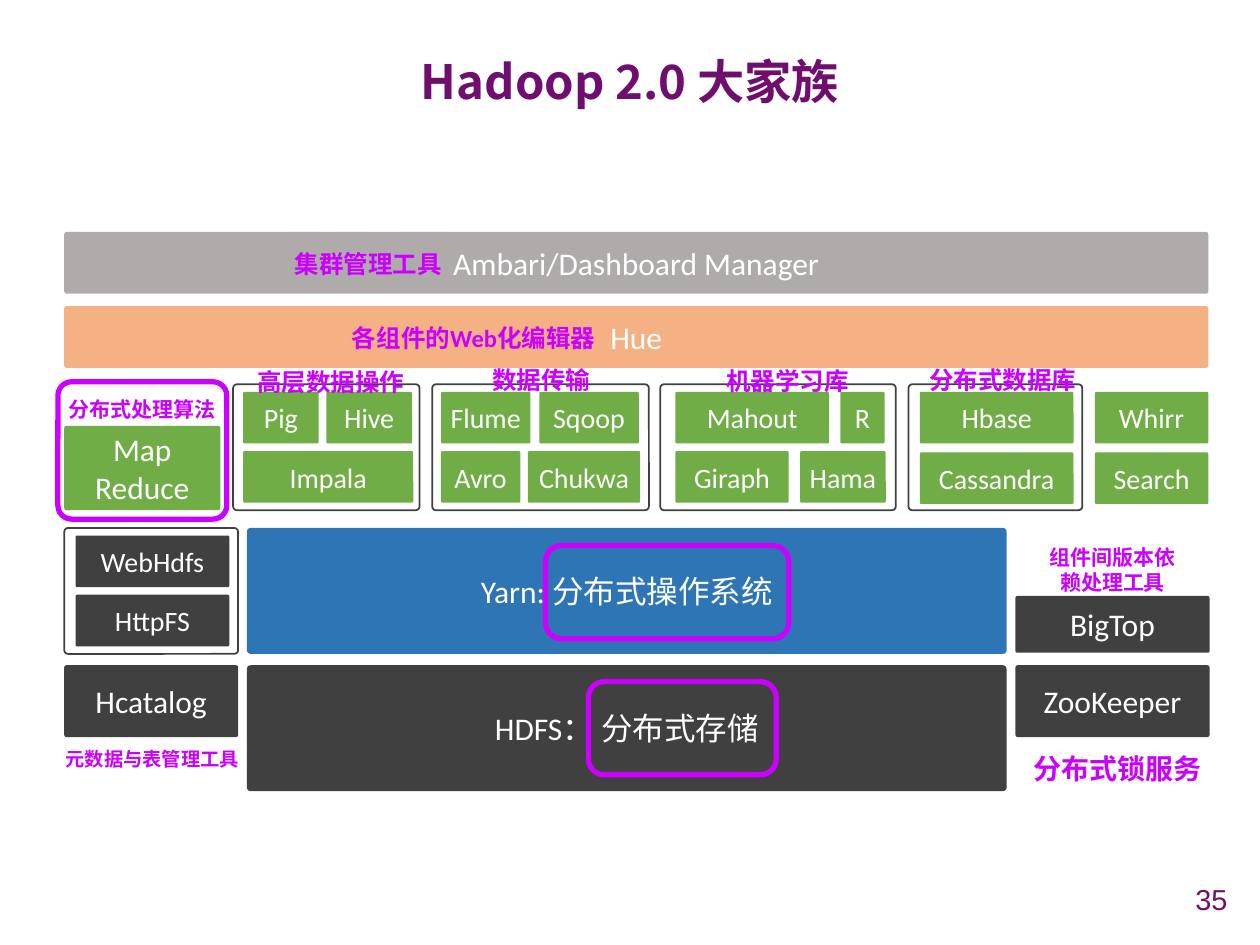
from pptx import Presentation
from pptx.dml.color import RGBColor
from pptx.enum.shapes import MSO_SHAPE
from pptx.enum.text import MSO_ANCHOR, PP_ALIGN
from pptx.util import Inches, Pt

PLUM = RGBColor(0x6F, 0x0E, 0x6F)
PINK = RGBColor(0xCC, 0x00, 0xFF)
WHITE = RGBColor(0xFF, 0xFF, 0xFF)
GREY = RGBColor(0xAF, 0xAB, 0xAB)
PEACH = RGBColor(0xF4, 0xB1, 0x83)
GREEN = RGBColor(0x70, 0xAD, 0x47)
BLUE = RGBColor(0x2E, 0x75, 0xB6)
DARK = RGBColor(0x40, 0x40, 0x40)

TITLE = "Hadoop 2.0 大家族"
PAGE = "35"

# text, left, top, width, height, fill, corner
BLOCKS = [
    ("Ambari/Dashboard Manager", 0.51, 1.84, 9.08, 0.49, GREY, 0.04),
    ("Hue", 0.51, 2.43, 9.08, 0.49, PEACH, 0.04),
    ("Map\nReduce", 0.51, 3.38, 1.24, 0.67, GREEN, 0.03),
    ("Yarn: 分布式操作系统", 1.96, 4.19, 6.03, 1, BLUE, 0.03),
    ("HDFS： 分布式存储", 1.96, 5.28, 6.03, 1, DARK, 0.03),
    ("BigTop", 8.06, 4.73, 1.54, 0.45, DARK, 0.03),
    ("ZooKeeper", 8.06, 5.28, 1.54, 0.57, DARK, 0.03),
    ("Hcatalog", 0.51, 5.28, 1.38, 0.57, DARK, 0.03),
]

# left, top, width of each group frame
FRAMES = [(1.85, 3.05, 1.48), (3.43, 3.05, 1.72), (5.24, 3.05, 1.87),
          (7.21, 3.05, 1.38), (0.51, 4.19, 1.38)]
FRAME_H = 1

# top, fill, tiles as (text, left, width)
TILE_ROWS = [
    (3.11, GREEN, [("Pig", 1.93, 0.6), ("Hive", 2.59, 0.68),
                   ("Flume", 3.5, 0.71), ("Sqoop", 4.28, 0.79),
                   ("Mahout", 5.36, 1.22), ("R", 6.67, 0.35),
                   ("Hbase", 7.3, 1.22), ("Whirr", 8.69, 0.9)]),
    (3.58, GREEN, [("Impala", 1.93, 1.35), ("Avro", 3.5, 0.63),
                   ("Chukwa", 4.19, 0.89), ("Giraph", 5.36, 0.9),
                   ("Hama", 6.35, 0.68)]),
    (3.59, GREEN, [("Cassandra", 7.3, 1.22), ("Search", 8.69, 0.9)]),
    (4.25, DARK, [("WebHdfs", 0.6, 1.22)]),
    (4.72, DARK, [("HttpFS", 0.6, 1.22)]),
]
TILE_H = 0.41

# left, top, width, height, corner
RINGS = [(4.67, 5.41, 1.49, 0.74, 0.17), (4.33, 4.33, 1.93, 0.74, 0.17),
         (0.46, 3.03, 1.34, 1.09, 0.1)]

# text, left, top, width, height, size
NOTES = [
    ("分布式处理算法", 0.4, 3.1, 1.46, 0.3, 12),
    ("分布式锁服务", 8.09, 5.91, 1.56, 0.37, 16),
    ("分布式数据库", 7.27, 2.84, 1.38, 0.34, 14),
    ("高层数据操作", 1.93, 2.86, 1.39, 0.34, 14),
    ("数据传输", 3.8, 2.84, 0.99, 0.34, 14),
    ("机器学习库", 5.66, 2.85, 1.18, 0.34, 14),
    ("元数据与表管理工具", 0.35, 5.88, 1.72, 0.29, 11),
    ("各组件的Web化编辑器", 2.36, 2.51, 2.8, 0.34, 14),
    ("集群管理工具", 2.16, 1.92, 1.53, 0.34, 14),
    ("组件间版本依赖处理工具", 8.22, 4.27, 1.22, 0.5, 12),
]


def write(shape, text, size, color, bold=False, font="Calibri",
          align=PP_ALIGN.CENTER, wrap=True, inset=0.1):
    frame = shape.text_frame
    frame.text = text
    frame.word_wrap = wrap
    frame.vertical_anchor = MSO_ANCHOR.MIDDLE
    frame.margin_left = frame.margin_right = Inches(inset)
    frame.margin_top = frame.margin_bottom = 0
    for para in frame.paragraphs:
        para.alignment = align
        for run in para.runs:
            run.font.size = Pt(size)
            run.font.name = font
            run.font.bold = bold
            run.font.color.rgb = color


def add_box(slide, area, corner, fill=None, line=None, weight=1):
    box = slide.shapes.add_shape(MSO_SHAPE.ROUNDED_RECTANGLE,
                                 *map(Inches, area))
    box.adjustments[0] = corner
    box.shadow.inherit = False
    if fill is None:
        box.fill.background()
    else:
        box.fill.solid()
        box.fill.fore_color.rgb = fill
    if line is None:
        box.line.fill.background()
    else:
        box.line.color.rgb = line
        box.line.width = Pt(weight)
    return box


def main():
    deck = Presentation()
    deck.slide_width, deck.slide_height = Inches(10), Inches(7.5)
    slide = deck.slides.add_slide(deck.slide_layouts[5])

    title = slide.shapes.title
    title.left, title.top = Inches(0.46), Inches(0.31)
    title.width, title.height = Inches(9.08), Inches(0.71)
    write(title, TITLE, 27, PLUM, True, "Noto Sans CJK SC")
    title.text_frame.paragraphs[0].line_spacing = 0.9

    page = slide.shapes.add_textbox(*map(Inches, (9.14, 6.98, 0.7, 0.31)))
    write(page, PAGE, 16.5, PLUM, font="Arial", align=PP_ALIGN.RIGHT)

    for text, *area, fill, corner in BLOCKS:
        write(add_box(slide, area, corner, fill), text, 18, WHITE)
    for left, top, width in FRAMES:
        add_box(slide, (left, top, width, FRAME_H), 0.03, line=DARK)
    for top, fill, tiles in TILE_ROWS:
        for text, left, width in tiles:
            tile = add_box(slide, (left, top, width, TILE_H), 0.03, fill)
            write(tile, text, 16, WHITE, wrap=False, inset=0)
    for *area, corner in RINGS:
        add_box(slide, area, corner, line=PINK, weight=3)
    for text, *area, size in NOTES:
        note = slide.shapes.add_textbox(*map(Inches, area))
        write(note, text, size, PINK, True, inset=0.08)

    deck.save("out.pptx")


if __name__ == "__main__":
    main()
